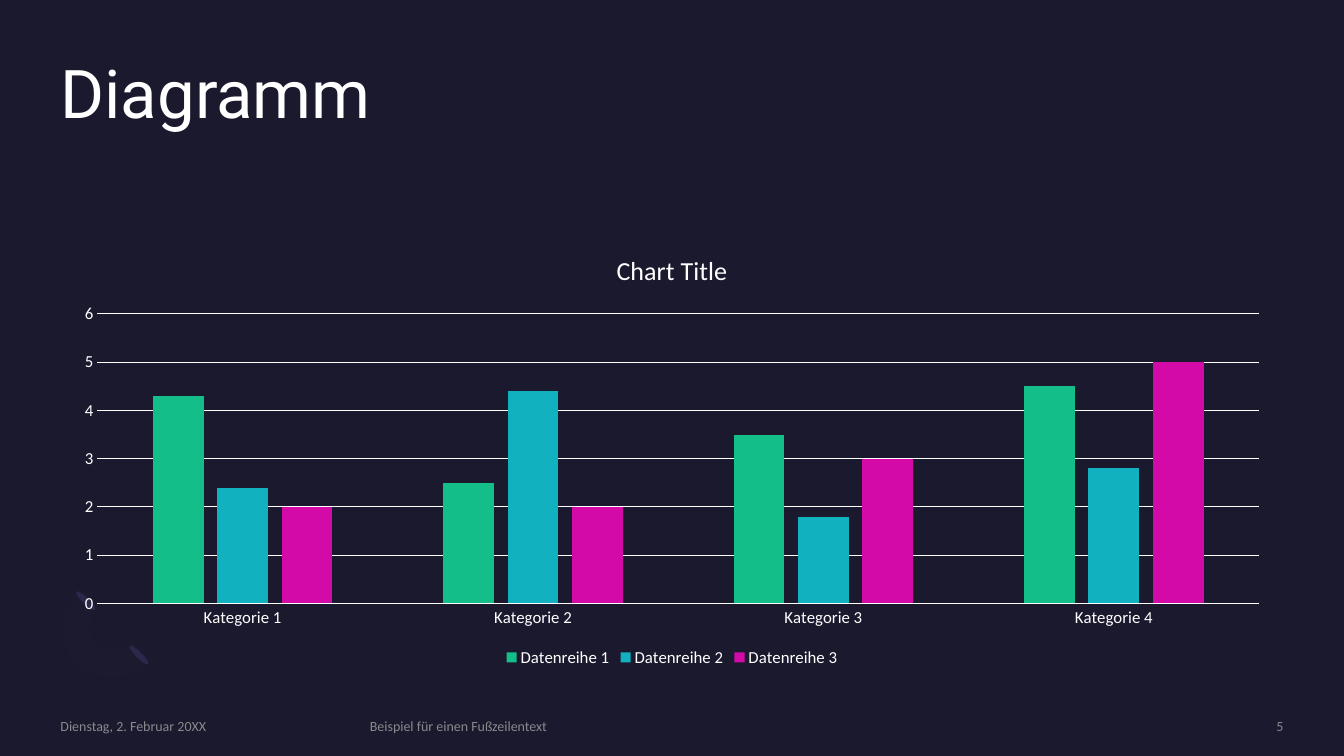
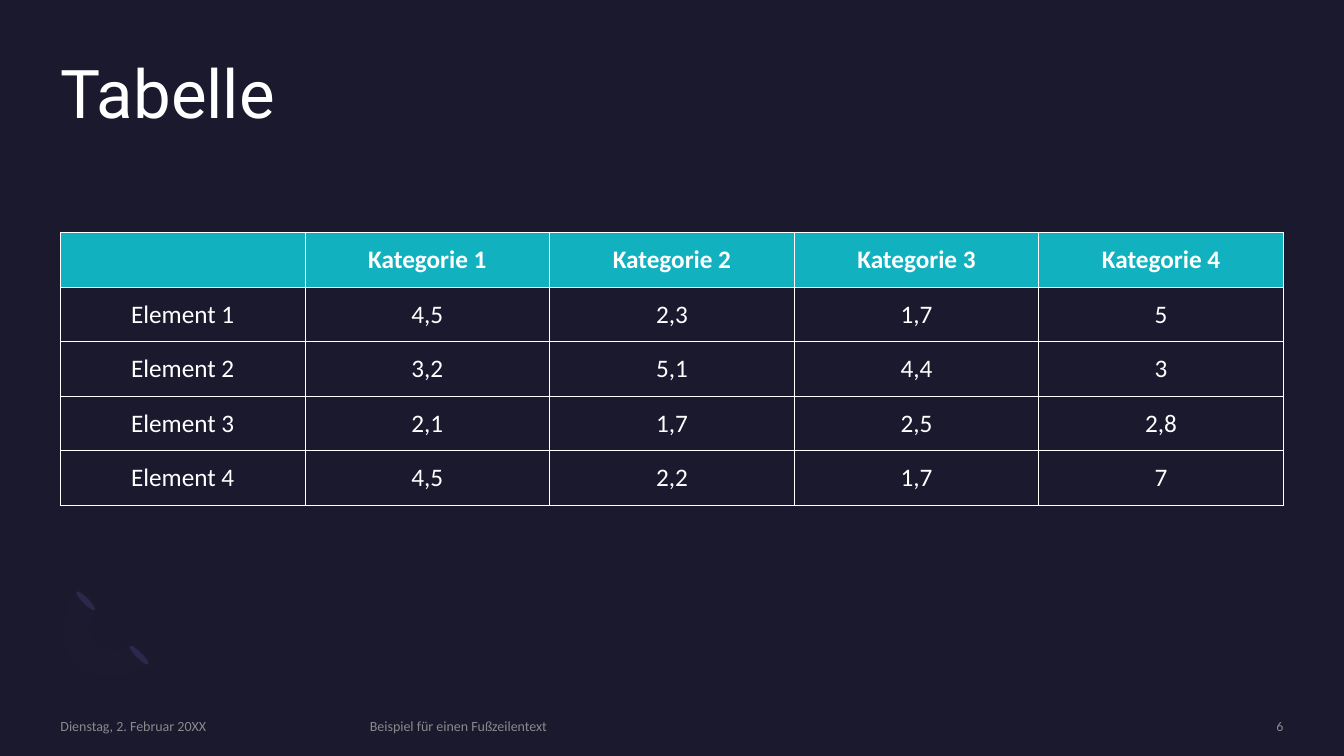
from lxml.etree import SubElement
from pptx import Presentation
from pptx.chart.data import CategoryChartData
from pptx.dml.color import RGBColor
from pptx.enum.chart import XL_CHART_TYPE, XL_LEGEND_POSITION, XL_TICK_MARK
from pptx.enum.shapes import MSO_SHAPE
from pptx.enum.text import MSO_ANCHOR, PP_ALIGN
from pptx.oxml import parse_xml
from pptx.oxml.ns import nsdecls, qn
from pptx.util import Pt

NIGHT = RGBColor(0x1B, 0x19, 0x2E)
WHITE = RGBColor(0xFF, 0xFF, 0xFF)
GREY = RGBColor(0xA6, 0xA6, 0xA6)
INDIGO = RGBColor(0x2C, 0x28, 0x4A)
LAVENDER = RGBColor(0x77, 0x71, 0xB2)
GREEN = RGBColor(0x13, 0xBE, 0x89)
TEAL = RGBColor(0x12, 0xB1, 0xBF)
MAGENTA = RGBColor(0xD4, 0x0A, 0xA8)

HEADING_FONT = "Roboto"
BODY_FONT = "Calibri"
MARGIN = 43.2
CONTENT_TOP = 166.4
CONTENT_WIDTH = 873.6
RULE_WIDTH = 0.75

CATEGORIES = [f"Kategorie {n}" for n in range(1, 5)]
SERIES = [
    ("Datenreihe 1", (4.3, 2.5, 3.5, 4.5), GREEN),
    ("Datenreihe 2", (2.4, 4.4, 1.8, 2.8), TEAL),
    ("Datenreihe 3", (2, 2, 3, 5), MAGENTA),
]
TABLE_ROWS = [
    ["", *CATEGORIES],
    ["Element 1", "4,5", "2,3", "1,7", "5"],
    ["Element 2", "3,2", "5,1", "4,4", "3"],
    ["Element 3", "2,1", "1,7", "2,5", "2,8"],
    ["Element 4", "4,5", "2,2", "1,7", "7"],
]
FOOTERS = [
    ("Dienstag, 2. Februar 20XX", MARGIN, 207.4, PP_ALIGN.LEFT),
    ("Beispiel für einen Fußzeilentext", 264.2, 502.6, PP_ALIGN.LEFT),
]

# Open ring: each curve is start, two control points, end.
RING_START = (54.7, 474.5)
RING_CURVES = [
    (RING_START, (40.3, 460.1), (41.8, 435.6), (58.3, 419)),
    ((71.3, 432), (62.6, 439.9), (61.9, 453), (69.1, 459.4)),
    ((69.1, 459.4), (76.3, 466.6), (88.6, 465.8), (97.2, 457.9)),
    ((109.4, 470.9), (93.6, 486.7), (68.4, 488.9), RING_START),
]


def format_font(font, size, color=WHITE, name=BODY_FONT, bold=False):
    font.size, font.name, font.bold = Pt(size), name, bold
    font.color.rgb = color


def write_text(frame, text, *, size, color=WHITE, name=BODY_FONT, bold=False,
               align=PP_ALIGN.LEFT, spacing=None):
    paragraph = frame.paragraphs[0]
    paragraph.alignment = align
    paragraph.line_spacing = spacing
    if text:
        target = paragraph.add_run()
        target.text = text
    else:
        target = paragraph
    format_font(target.font, size, color, name, bold)


def set_opacity(shape, percent):
    """Give every colour in the shape the same opacity."""
    for color in shape.element.iter(qn("a:srgbClr")):
        SubElement(color, qn("a:alpha")).set("val", str(percent * 1000))


def set_borders(cell, color):
    properties = cell._tc.get_or_add_tcPr()
    for index, side in enumerate(("lnL", "lnR", "lnT", "lnB")):
        properties.insert(index, parse_xml(
            f'<a:{side} {nsdecls("a")} w="{Pt(RULE_WIDTH)}"><a:solidFill>'
            f'<a:srgbClr val="{color}"/></a:solidFill></a:{side}>'))


def curve_points(curve, steps=12):
    """Sample a cubic Bézier curve, both ends included."""
    for step in range(steps + 1):
        t = step / steps
        weights = ((1 - t) ** 3, 3 * t * (1 - t) ** 2, 3 * t * t * (1 - t), t ** 3)
        yield tuple(sum(w * point[axis] for w, point in zip(weights, curve))
                    for axis in (0, 1))


class Deck:
    """Holds the presentation style and the slide being built."""

    def __init__(self):
        self.presentation = Presentation()
        self.presentation.slide_width = Pt(960)
        self.presentation.slide_height = Pt(540)
        background = self.presentation.slide_master.background.fill
        background.solid()
        background.fore_color.rgb = NIGHT
        self.slide = None

    def new_slide(self, title, number):
        blank = self.presentation.slide_layouts[6]
        self.slide = self.presentation.slides.add_slide(blank)
        self.ornament()
        self.text(title, MARGIN, MARGIN, CONTENT_WIDTH, 105,
                  size=48, name=HEADING_FONT, spacing=0.9)
        page = (str(number), 783.4, 133.4, PP_ALIGN.RIGHT)
        for text, left, width, align in [*FOOTERS, page]:
            footer = self.text(text, left, 512.6, width, 12.2, MSO_ANCHOR.MIDDLE,
                               size=10, color=GREY, align=align)
            set_opacity(footer, 80)

    def text(self, text, left, top, width, height, anchor=MSO_ANCHOR.TOP, **style):
        box = self.slide.shapes.add_textbox(Pt(left), Pt(top), Pt(width), Pt(height))
        frame = box.text_frame
        frame.word_wrap = True
        frame.vertical_anchor = anchor
        frame.margin_left = frame.margin_right = 0
        frame.margin_top = frame.margin_bottom = 0
        write_text(frame, text, **style)
        return box

    def paint(self, shape, color):
        shape.shadow.inherit = False
        shape.fill.solid()
        shape.fill.fore_color.rgb = color
        shape.line.fill.background()

    def ornament(self):
        """Draw the faint open ring and the caps on its two ends."""
        shapes = self.slide.shapes
        for left, top in ((97.2, 458.6), (59, 419.8)):
            cap = shapes.add_shape(MSO_SHAPE.OVAL, Pt(left), Pt(top), Pt(4.3), Pt(18.7))
            cap.rotation = 135
            self.paint(cap, INDIGO)
        builder = shapes.build_freeform(*RING_START, scale=Pt(1))
        builder.add_line_segments(
            [point for curve in RING_CURVES for point in curve_points(curve)])
        ring = builder.convert_to_shape()
        self.paint(ring, LAVENDER)
        set_opacity(ring, 1)

    def column_chart(self, title, categories, series):
        data = CategoryChartData()
        data.categories = categories
        for name, values, _ in series:
            data.add_series(name, values)
        chart = self.slide.shapes.add_chart(
            XL_CHART_TYPE.COLUMN_CLUSTERED, Pt(MARGIN), Pt(CONTENT_TOP),
            Pt(CONTENT_WIDTH), Pt(313.2), data).chart
        format_font(chart.font, 10)

        chart.has_title = True
        write_text(chart.chart_title.text_frame, title, size=18.6,
                   align=PP_ALIGN.CENTER)
        chart.chart_title.include_in_layout = False
        chart.has_legend = True
        chart.legend.position = XL_LEGEND_POSITION.BOTTOM
        chart.legend.include_in_layout = False
        format_font(chart.legend.font, 12)

        plot = chart.plots[0]
        plot.gap_width, plot.overlap = 219, -27
        plot.vary_by_categories = False
        for bars, (_, _, color) in zip(plot.series, series):
            bars.format.fill.solid()
            bars.format.fill.fore_color.rgb = color

        for axis in (chart.category_axis, chart.value_axis):
            axis.major_tick_mark = axis.minor_tick_mark = XL_TICK_MARK.NONE
            format_font(axis.tick_labels.font, 12)
        scale = chart.value_axis
        scale.minimum_scale, scale.maximum_scale, scale.major_unit = 0, 6, 1
        scale.format.line.fill.background()
        for rule in (chart.category_axis.format.line, scale.major_gridlines.format.line):
            rule.color.rgb = WHITE
            rule.width = Pt(RULE_WIDTH)

    def table(self, rows, row_height=38.88):
        table = self.slide.shapes.add_table(
            len(rows), len(rows[0]), Pt(MARGIN), Pt(CONTENT_TOP),
            Pt(CONTENT_WIDTH), Pt(row_height * len(rows))).table
        table.horz_banding = False
        for row_index, values in enumerate(rows):
            is_header = row_index == 0
            for column_index, value in enumerate(values):
                cell = table.cell(row_index, column_index)
                cell.vertical_anchor = MSO_ANCHOR.MIDDLE
                if is_header:
                    cell.fill.solid()
                    cell.fill.fore_color.rgb = TEAL
                else:
                    cell.fill.background()
                set_borders(cell, WHITE)
                write_text(cell.text_frame, value, size=18, bold=is_header,
                           align=PP_ALIGN.CENTER)


def main():
    deck = Deck()
    deck.new_slide("Diagramm", 5)
    deck.column_chart("Chart Title", CATEGORIES, SERIES)
    deck.new_slide("Tabelle", 6)
    deck.table(TABLE_ROWS)
    deck.presentation.save("out.pptx")


if __name__ == "__main__":
    main()
